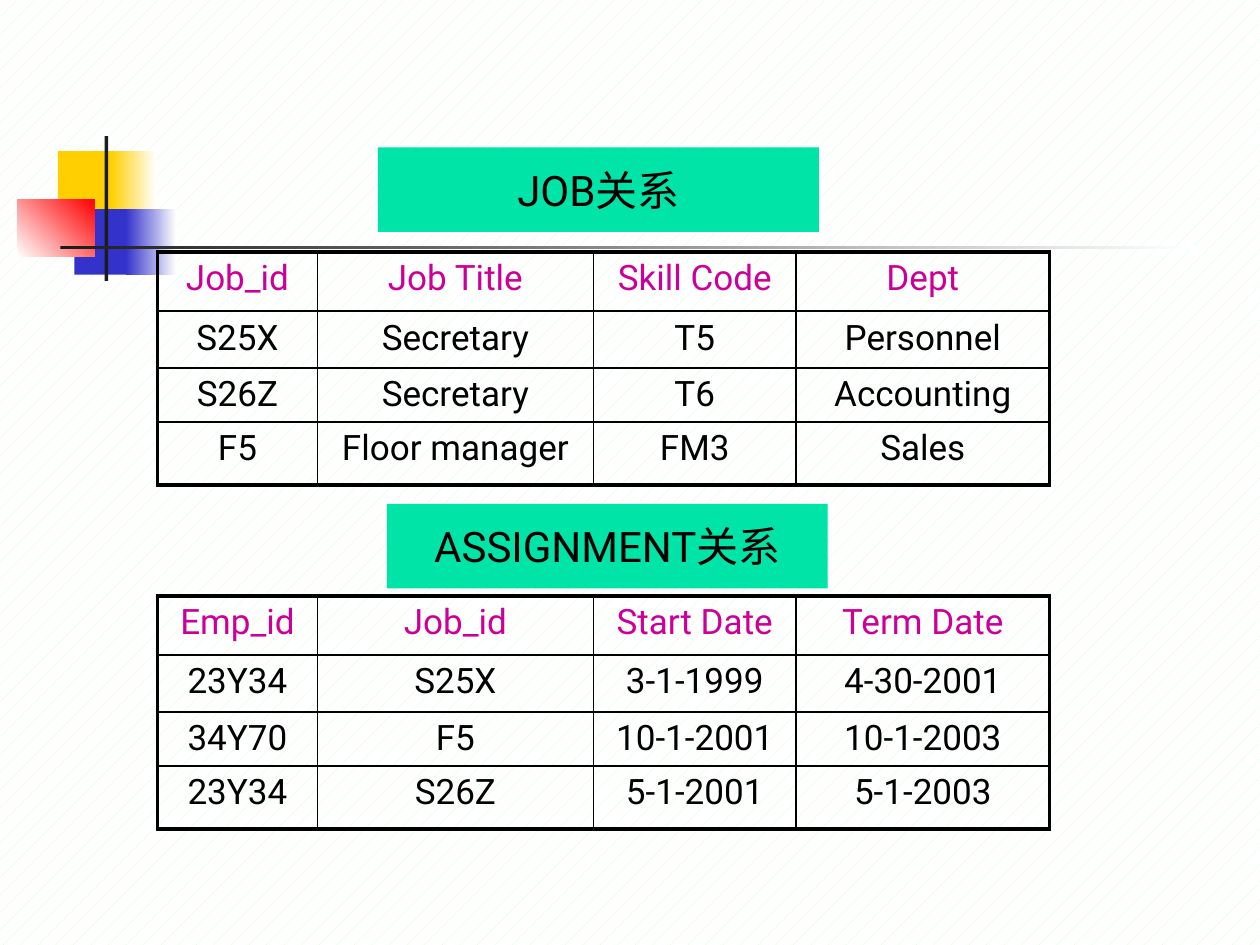
from lxml import etree
from pptx import Presentation
from pptx.dml.color import RGBColor
from pptx.enum.dml import MSO_PATTERN
from pptx.enum.shapes import MSO_SHAPE
from pptx.enum.text import MSO_ANCHOR, PP_ALIGN
from pptx.oxml.ns import qn
from pptx.util import Inches, Pt

COLORS = {
    "white": "FFFFFF",
    "black": "000000",
    "pale_green": "CCFFCC",
    "yellow": "FFCF01",
    "blue": "3333CC",
    "red": "FF0000",
    "charcoal": "1C1C1C",
    "mint": "00E4A8",
    "magenta": "CC0099",
}
FONT = "Roboto"
TABLE_LEFT = 1.25
COLUMN_WIDTHS = [1.27, 2.19, 1.61, 2.01]
ROW_HEIGHTS = [0.47, 0.45, 0.43, 0.5]
OUTER_BORDER, INNER_BORDER = 2.25, 1

# Left, top, width, height, colours (two make a gradient), gradient angle
DECORATION = [
    (0.46, 1.2, 0.48, 0.52, ["yellow"], 0),
    (0.88, 1.2, 0.36, 0.52, ["yellow", "white"], 0),
    (0.59, 1.66, 0.46, 0.52, ["blue"], 0),
    (1, 1.66, 0.4, 0.52, ["blue", "white"], 0),
    (0.14, 1.58, 0.61, 0.46, ["white", "red"], 45),
    (0.83, 1.08, 0.03, 1.15, ["charcoal"], 0),
    (0.48, 1.95, 9, 0.03, ["charcoal", "white"], 0),
]
JOBS = [
    ["Job_id", "Job Title", "Skill Code", "Dept"],
    ["S25X", "Secretary", "T5", "Personnel"],
    ["S26Z", "Secretary", "T6", "Accounting"],
    ["F5", "Floor manager", "FM3", "Sales"],
]
ASSIGNMENTS = [
    ["Emp_id", "Job_id", "Start Date", "Term Date"],
    ["23Y34", "S25X", "3-1-1999", "4-30-2001"],
    ["34Y70", "F5", "10-1-2001", "10-1-2003"],
    ["23Y34", "S26Z", "5-1-2001", "5-1-2003"],
]


def rgb(name):
    return RGBColor.from_string(COLORS[name])


def write(text_frame, text, *, size, color="black", align=PP_ALIGN.CENTER):
    paragraph = text_frame.paragraphs[0]
    paragraph.alignment = align
    run = paragraph.add_run()
    run.text = text
    run.font.name = FONT
    run.font.size = Pt(size)
    run.font.color.rgb = rgb(color)


def paint_background(slide):
    fill = slide.background.fill
    fill.patterned()
    fill.pattern = MSO_PATTERN.PERCENT_5
    fill.fore_color.rgb = rgb("pale_green")
    fill.back_color.rgb = rgb("white")


def add_block(slide, left, top, width, height, colors, angle=0):
    """Add a borderless rectangle, solid or with a two-colour gradient."""
    block = slide.shapes.add_shape(
        MSO_SHAPE.RECTANGLE, Inches(left), Inches(top), Inches(width), Inches(height))
    block.shadow.inherit = False
    block.line.fill.background()
    if len(colors) == 1:
        block.fill.solid()
        block.fill.fore_color.rgb = rgb(colors[0])
    else:
        block.fill.gradient()
        block.fill.gradient_angle = angle
        for stop, color in zip(block.fill.gradient_stops, colors):
            stop.color.rgb = rgb(color)
    return block


def add_heading(slide, left, top, text):
    heading = add_block(slide, left, top, 3.5, 0.67, ["mint"])
    heading.text_frame.word_wrap = False
    heading.text_frame.vertical_anchor = MSO_ANCHOR.MIDDLE
    write(heading.text_frame, text, size=24)


def set_borders(cell, widths):
    """Draw the cell's sides; widths maps L, R, T and B to points."""
    properties = cell._tc.get_or_add_tcPr()
    for index, (side, width) in enumerate(widths.items()):
        line = etree.Element(qn(f"a:ln{side}"), w=str(Pt(width)))
        fill = etree.SubElement(line, qn("a:solidFill"))
        etree.SubElement(fill, qn("a:srgbClr"), val=COLORS["black"])
        properties.insert(index, line)


def add_relation(slide, top, rows):
    """Add a grid with a heavy frame and a coloured header row."""
    table = slide.shapes.add_table(
        len(rows), len(COLUMN_WIDTHS), Inches(TABLE_LEFT), Inches(top),
        Inches(sum(COLUMN_WIDTHS)), Inches(sum(ROW_HEIGHTS))).table
    table.first_row = False
    table.horz_banding = False
    for column, width in zip(table.columns, COLUMN_WIDTHS):
        column.width = Inches(width)
    for row, height in zip(table.rows, ROW_HEIGHTS):
        row.height = Inches(height)

    last_row, last_column = len(rows) - 1, len(COLUMN_WIDTHS) - 1
    for r, values in enumerate(rows):
        for c, value in enumerate(values):
            cell = table.cell(r, c)
            cell.fill.background()
            on_frame = {"L": c == 0, "R": c == last_column,
                        "T": r == 0, "B": r == last_row}
            set_borders(cell, {side: OUTER_BORDER if outer else INNER_BORDER
                               for side, outer in on_frame.items()})
            write(cell.text_frame, value, size=20,
                  color="magenta" if r == 0 else "black")


def main():
    presentation = Presentation()
    presentation.slide_width = Inches(10)
    presentation.slide_height = Inches(7.5)
    slide = presentation.slides.add_slide(presentation.slide_layouts[6])

    paint_background(slide)
    for block in DECORATION:
        add_block(slide, *block)
    add_relation(slide, 2, JOBS)
    add_heading(slide, 3, 1.17, "JOB关系")
    add_relation(slide, 4.73, ASSIGNMENTS)
    add_heading(slide, 3.07, 4, "ASSIGNMENT关系")

    presentation.save("out.pptx")


if __name__ == "__main__":
    main()
